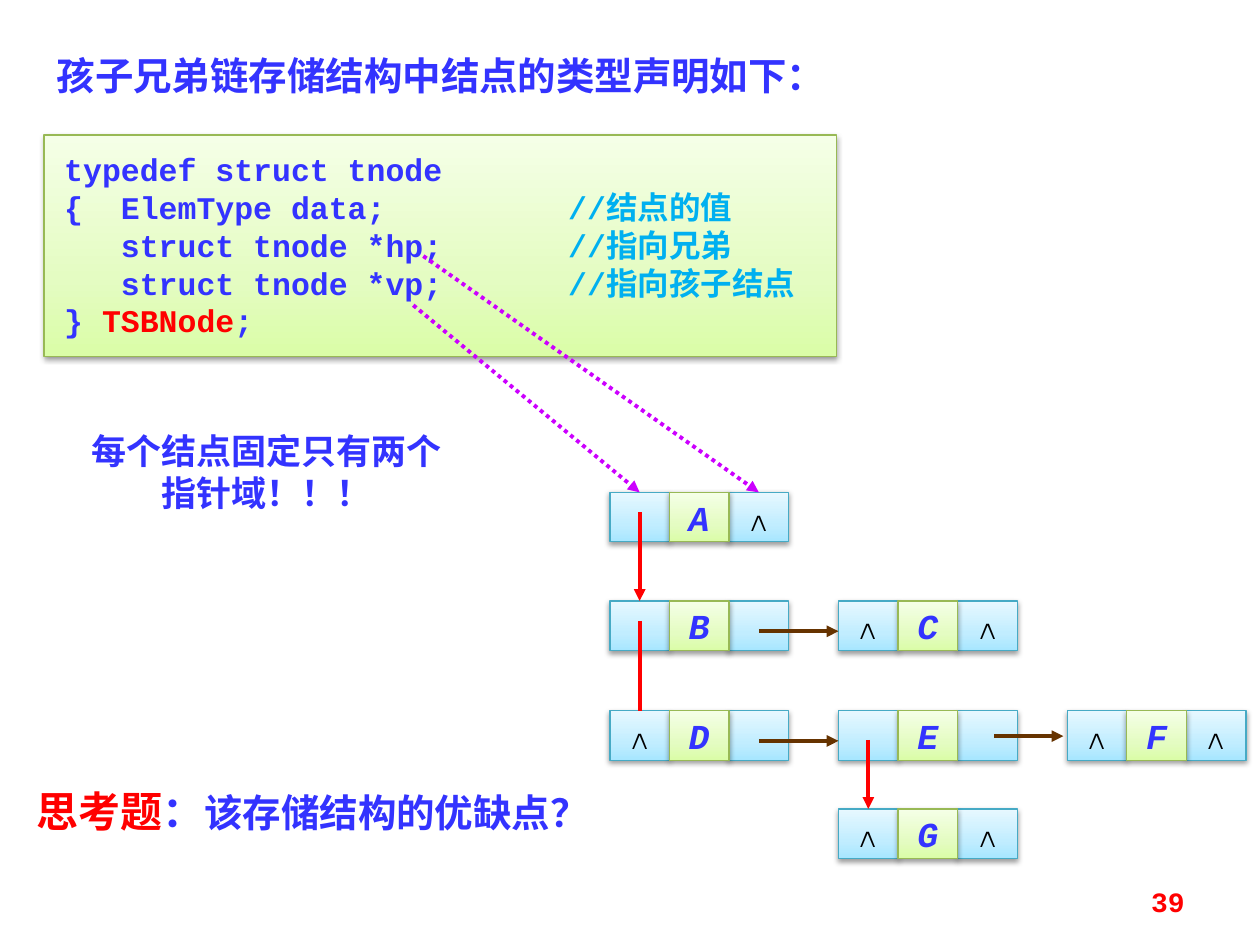
from dataclasses import dataclass
from lxml.etree import SubElement
from pptx import Presentation
from pptx.dml.color import RGBColor
from pptx.enum.dml import MSO_LINE
from pptx.enum.shapes import MSO_CONNECTOR, MSO_SHAPE
from pptx.enum.text import MSO_ANCHOR, MSO_AUTO_SIZE, PP_ALIGN
from pptx.oxml.ns import qn
from pptx.util import Inches, Pt


@dataclass(frozen=True)
class Theme:
    blue: str = "3333FF"
    sky: str = "00B0F0"
    red: str = "FF0000"
    brown: str = "663300"
    pink: str = "CC00FF"
    black: str = "000000"
    # Gradient stops from bottom to top, then the outline
    lime: tuple = ("DAFDA7", "E4FCC2", "F5FFE7", "98B955")
    aqua: tuple = ("A7E6FF", "C1EDFF", "E7F8FF", "46AAC5")
    stops: tuple = (0, 35, 100)
    mono: str = "Courier New"
    serif: str = "Times New Roman"
    hans: str = "Noto Sans CJK SC"
    think: int = 24
    head: int = 22
    body: int = 20
    code: int = 18
    page: int = 16


THEME = Theme()
WIDTH, HEIGHT = Inches(10), Inches(7.5)

# Node grid, in percent of the slide
LEFT, PITCH = 48.4, 18.15
CELL_W, CELL_H = 4.73, 5.25
ROWS = (52.1, 63.6, 75.2, 85.6)

# Letter, column, row, empty left pointer, empty right pointer
NODES = (
    ("A", 0, 0, False, True),
    ("B", 0, 1, False, False),
    ("C", 1, 1, True, True),
    ("D", 0, 2, True, False),
    ("E", 1, 2, False, False),
    ("F", 2, 2, True, True),
    ("G", 1, 3, True, True),
)

CODE = (
    (("typedef struct tnode", THEME.blue),),
    (("{  ElemType data;\t", THEME.blue), ("//结点的值", THEME.sky)),
    (("   struct tnode *hp;\t", THEME.blue), ("//指向兄弟", THEME.sky)),
    (("   struct tnode *vp;\t", THEME.blue), ("//指向孩子结点", THEME.sky)),
    (("} ", THEME.blue), ("TSBNode", THEME.red), (";", THEME.blue)),
)


def spot(x, y):
    """Turn percent of the slide into lengths."""
    return int(WIDTH * x / 100), int(HEIGHT * y / 100)


def style(run, size, color, font, italic=False):
    run.font.size = Pt(size)
    run.font.bold = True
    run.font.italic = italic
    run.font.color.rgb = RGBColor.from_string(color)
    run.font.name = font
    if any("\u3000" <= mark for mark in run.text):
        SubElement(run.font._element, qn("a:ea"), typeface=THEME.hans)


def add_label(slide, box, text, size, color, font, align=PP_ALIGN.LEFT):
    label = slide.shapes.add_textbox(*spot(*box[:2]), *spot(*box[2:]))
    frame = label.text_frame
    frame.word_wrap = True
    frame.text = text
    frame.paragraphs[0].alignment = align
    style(frame.paragraphs[0].runs[0], size, color, font)
    return frame


def add_panel(slide, box, tint):
    """Add a rectangle with a gradient fill and a soft shadow."""
    panel = slide.shapes.add_shape(
        MSO_SHAPE.RECTANGLE, *spot(*box[:2]), *spot(*box[2:]))
    panel.fill.gradient()
    panel.fill.gradient_angle = 90
    props = panel._element.spPr
    stops = props.find(".//" + qn("a:gsLst"))
    for stop in list(stops):
        stops.remove(stop)
    for share, color in zip(THEME.stops, tint):
        stop = SubElement(stops, qn("a:gs"), pos=str(share * 1000))
        SubElement(stop, qn("a:srgbClr"), val=color)
    panel.line.color.rgb = RGBColor.from_string(tint[-1])
    panel.line.width = Pt(0.75)
    panel.shadow.inherit = False
    shade = SubElement(
        props.find(qn("a:effectLst")), qn("a:outerShdw"),
        blurRad=str(Pt(3.1)), dist=str(Pt(1.6)), dir="5400000", rotWithShape="0")
    ink = SubElement(shade, qn("a:srgbClr"), val=THEME.black)
    SubElement(ink, qn("a:alpha"), val="38000")
    return panel


def add_code(slide, box):
    frame = add_panel(slide, box, THEME.lime).text_frame
    frame.word_wrap = True
    frame.vertical_anchor = MSO_ANCHOR.TOP
    frame.margin_left = frame.margin_right = Inches(0.16)
    frame.margin_top = frame.margin_bottom = Inches(0.12)
    for row, parts in enumerate(CODE):
        line = frame.add_paragraph() if row else frame.paragraphs[0]
        line.alignment = PP_ALIGN.LEFT
        tabs = SubElement(line._p.get_or_add_pPr(), qn("a:tabLst"))
        SubElement(tabs, qn("a:tab"), pos=str(Inches(4)), algn="l")
        for text, color in parts:
            run = line.add_run()
            run.text = text
            style(run, THEME.code, color, THEME.mono)


def add_cell(slide, col, row, part, tint, text, color, italic=False):
    x = LEFT + col * PITCH + part * CELL_W
    frame = add_panel(slide, (x, ROWS[row], CELL_W, CELL_H), tint).text_frame
    if text:
        frame.word_wrap = False
        frame.vertical_anchor = MSO_ANCHOR.MIDDLE
        frame.text = text
        frame.paragraphs[0].alignment = PP_ALIGN.CENTER
        style(frame.paragraphs[0].runs[0], THEME.body, color, THEME.mono, italic)


def add_node(slide, name, col, row, no_child, no_next):
    for part, empty in ((0, no_child), (2, no_next)):
        add_cell(slide, col, row, part, THEME.aqua, "∧" if empty else "", THEME.black)
    add_cell(slide, col, row, 1, THEME.lime, name, THEME.blue, True)


def add_link(slide, start, end, color, arrow=True, dotted=False):
    link = slide.shapes.add_connector(
        MSO_CONNECTOR.STRAIGHT, *spot(*start), *spot(*end))
    link.line.color.rgb = RGBColor.from_string(color)
    link.line.width = Pt(2.25)
    if dotted:
        link.line.dash_style = MSO_LINE.ROUND_DOT
    if arrow:
        SubElement(link.line._ln, qn("a:tailEnd"), type="triangle")
    SubElement(link._element.spPr, qn("a:effectLst"))


def hub(col, part):
    """Give the middle of a cell across the slide."""
    return LEFT + col * PITCH + (part + 0.5) * CELL_W


def add_links(slide):
    for col, row, drop, arrow in ((0, 0, 2.1, True), (0, 1, 2.1, False), (1, 2, 3.1, True)):
        x = hub(col, 0)
        add_link(slide, (x, ROWS[row] + drop), (x, ROWS[row + 1]), THEME.red, arrow)
    for row in (1, 2):
        y = ROWS[row] + 3.2
        add_link(slide, (hub(0, 2), y), (LEFT + PITCH, y), THEME.brown)
    add_link(slide, (78.9, 77.9), (84.4, 77.9), THEME.brown)
    for start, part in (((32.8, 32.3), 0), ((33.6, 27.1), 2)):
        add_link(slide, start, (hub(0, part), ROWS[0]), THEME.pink, dotted=True)


def add_title(slide, box, text):
    title = slide.shapes.title
    title.left, title.top = spot(*box[:2])
    title.width, title.height = spot(*box[2:])
    frame = title.text_frame
    frame.text = text
    frame.auto_size = MSO_AUTO_SIZE.NONE
    frame.vertical_anchor = MSO_ANCHOR.TOP
    frame.paragraphs[0].alignment = PP_ALIGN.LEFT
    style(frame.paragraphs[0].runs[0], THEME.head, THEME.blue, THEME.serif)


def add_question(slide, box):
    frame = add_label(slide, box, "思考题", THEME.think, THEME.red, THEME.hans)
    for text, size, font in (("：", THEME.think, THEME.hans),
                             ("该存储结构的优缺点？", THEME.head, THEME.serif)):
        run = frame.paragraphs[0].add_run()
        run.text = text
        style(run, size, THEME.blue, font)


def main():
    deck = Presentation()
    deck.slide_width, deck.slide_height = WIDTH, HEIGHT
    slide = deck.slides.add_slide(deck.slide_layouts[5])
    add_code(slide, (3.5, 14.3, 62.9, 23.4))
    add_question(slide, (1.9, 82.5, 51.2, 6.7))
    add_title(slide, (3.5, 4.8, 69.9, 6.3), "孩子兄弟链存储结构中结点的类型声明如下：")
    add_label(slide, (6.2, 44.8, 29.9, 10.3), "每个结点固定只有两个指针域！！！",
              THEME.body, THEME.blue, THEME.mono, PP_ALIGN.CENTER)
    for node in NODES:
        add_node(slide, *node)
    add_links(slide)
    page = add_label(slide, (71.7, 92.7, 23.3, 5.3), "39",
                     THEME.page, THEME.red, THEME.mono, PP_ALIGN.RIGHT)
    page.vertical_anchor = MSO_ANCHOR.MIDDLE
    deck.save("out.pptx")


if __name__ == "__main__":
    main()
